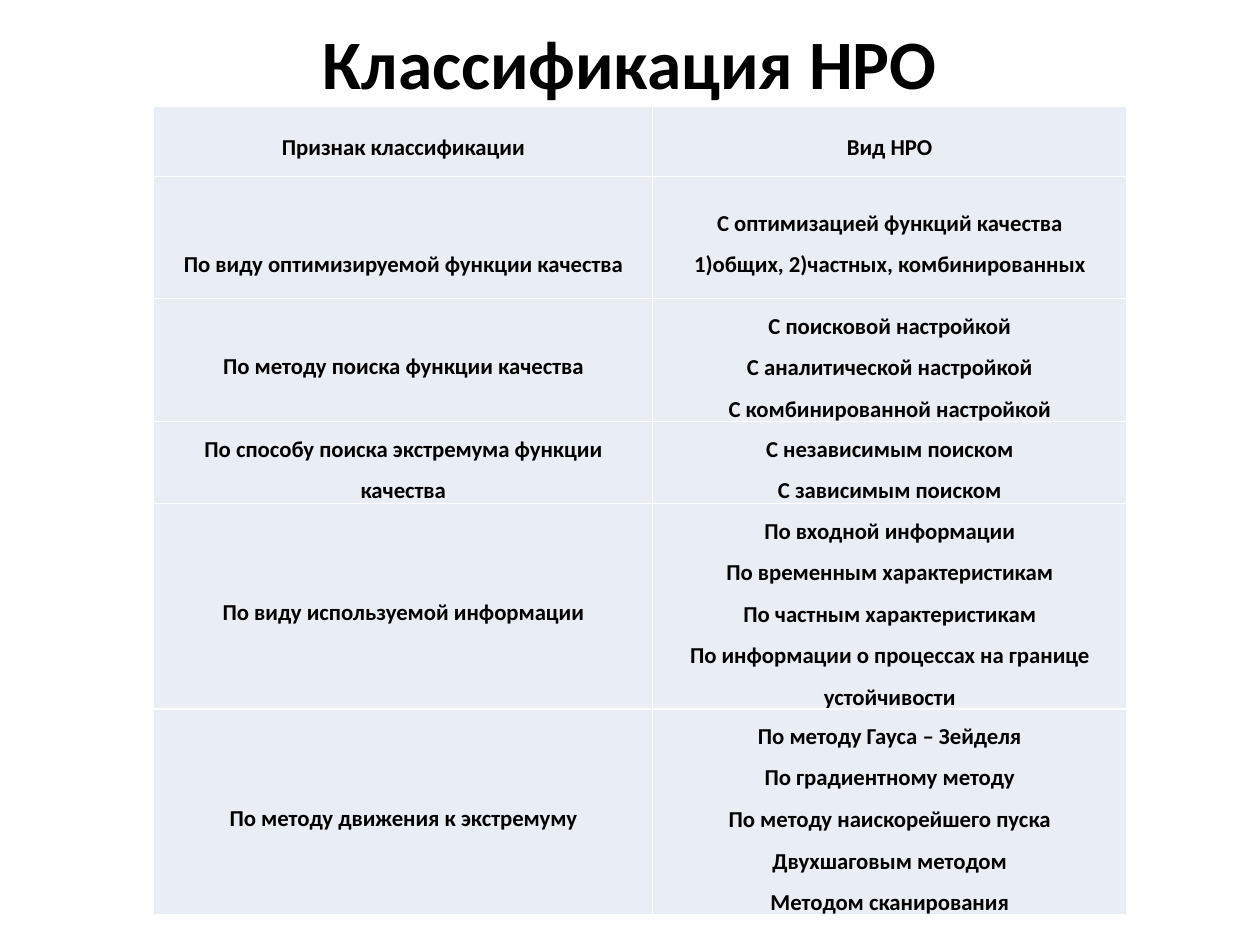
from lxml.etree import SubElement
from pptx import Presentation
from pptx.dml.color import RGBColor
from pptx.enum.text import MSO_ANCHOR, PP_ALIGN
from pptx.oxml.ns import qn
from pptx.util import Inches, Pt

BLACK = RGBColor(0x00, 0x00, 0x00)
WHITE = RGBColor(0xFF, 0xFF, 0xFF)
PALE_BLUE = RGBColor(0xE9, 0xED, 0xF4)

COLUMN_WIDTHS = [3.96, 3.76]
ROWS = [
    (0.56, "Признак классификации", ["Вид НРО"]),
    (0.97, "По виду оптимизируемой функции качества", [
        "С оптимизацией функций качества",
        "1)общих, 2)частных, комбинированных",
    ]),
    (0.97, "По методу поиска функции качества", [
        "С поисковой настройкой",
        "С аналитической настройкой",
        "С комбинированной настройкой",
    ]),
    (0.64, "По способу поиска экстремума функции качества", [
        "С независимым поиском",
        "С зависимым поиском",
    ]),
    (1.63, "По виду используемой информации", [
        "По входной информации",
        "По временным характеристикам",
        "По частным характеристикам",
        "По информации о процессах на границе устойчивости",
    ]),
    (1.63, "По методу движения к экстремуму", [
        "По методу Гауса – Зейделя",
        "По градиентному методу",
        "По методу наискорейшего пуска",
        "Двухшаговым методом",
        "Методом сканирования",
    ]),
]


def write_lines(frame, lines, size, spacing=1.0):
    frame.word_wrap = True
    for index, line in enumerate(lines):
        para = frame.paragraphs[0] if index == 0 else frame.add_paragraph()
        para.alignment = PP_ALIGN.CENTER
        para.line_spacing = spacing
        span = para.add_run()
        span.text = line
        span.font.name = "Calibri"
        span.font.size = Pt(size)
        span.font.bold = True
        span.font.color.rgb = BLACK


def add_borders(cell, color, width):
    properties = cell._tc.get_or_add_tcPr()
    for side in ("a:lnL", "a:lnR", "a:lnT", "a:lnB"):
        line = SubElement(properties, qn(side), w=str(Pt(width)))
        fill = SubElement(line, qn("a:solidFill"))
        SubElement(fill, qn("a:srgbClr"), val=str(color))


deck = Presentation()
deck.slide_width = Inches(10)
deck.slide_height = Inches(7.5)
page = deck.slides.add_slide(deck.slide_layouts[6])

title = page.shapes.add_textbox(Inches(0.5), Inches(0.3), Inches(9), Inches(0.38))
title.text_frame.vertical_anchor = MSO_ANCHOR.MIDDLE
write_lines(title.text_frame, ["Классификация НРО"], size=39.6)

table = page.shapes.add_table(
    len(ROWS), len(COLUMN_WIDTHS),
    Inches(1.22), Inches(0.84), Inches(7.72), Inches(6.4),
).table
for column, width in zip(table.columns, COLUMN_WIDTHS):
    column.width = Inches(width)

for row, (height, feature, kinds) in zip(table.rows, ROWS):
    row.height = Inches(height)
    for cell, lines in zip(row.cells, ([feature], kinds)):
        cell.vertical_anchor = MSO_ANCHOR.MIDDLE
        cell.margin_left = cell.margin_right = Inches(0.07)
        cell.margin_top = cell.margin_bottom = 0
        add_borders(cell, WHITE, width=1)
        cell.fill.solid()
        cell.fill.fore_color.rgb = PALE_BLUE
        write_lines(cell.text_frame, lines, size=13, spacing=1.5)

table.cell(1, 0).margin_top = Inches(0.33)

deck.save("out.pptx")
